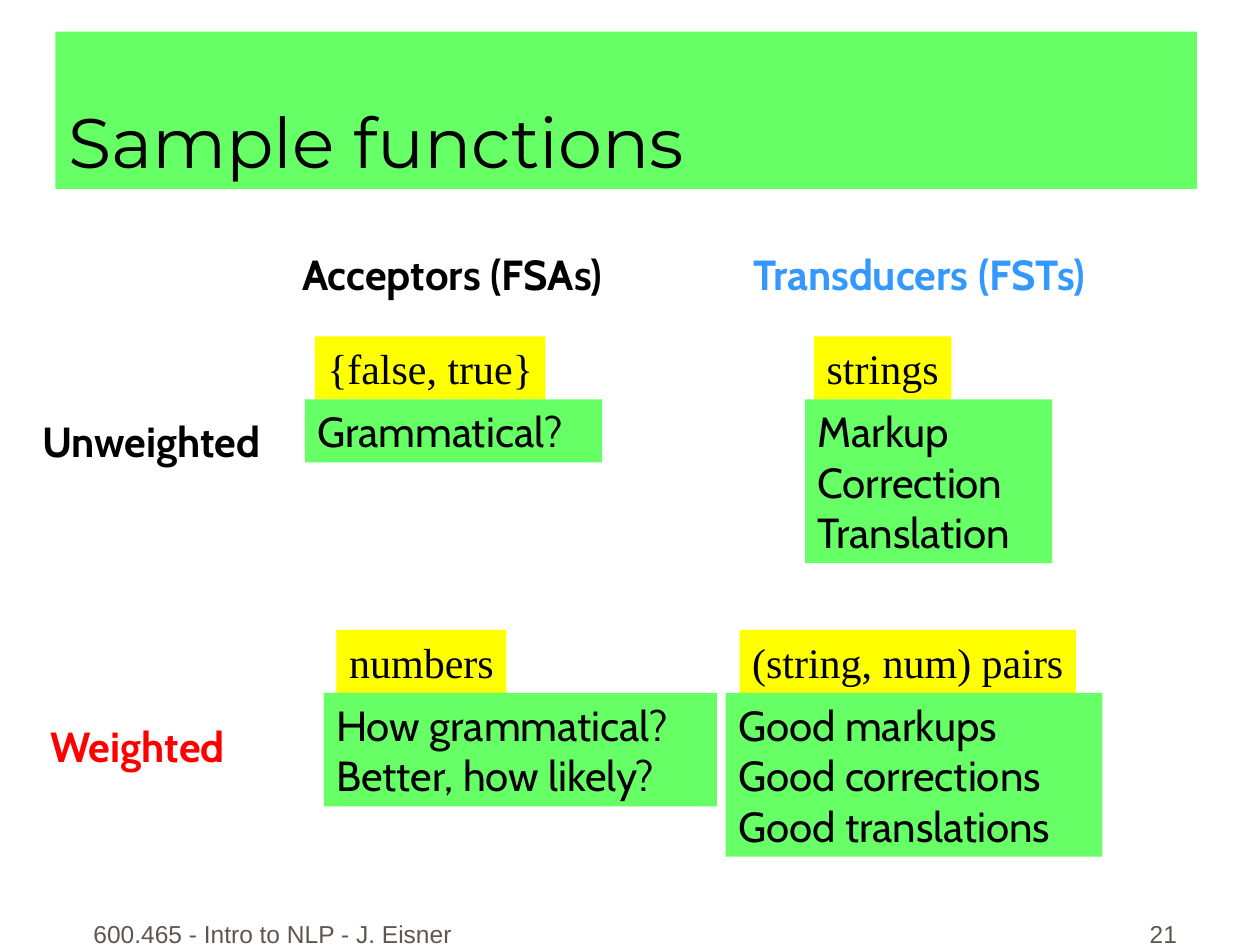
from pptx import Presentation
from pptx.dml.color import RGBColor
from pptx.enum import shapes, text
from pptx.util import Inches, Pt

BLACK = RGBColor(0x00, 0x00, 0x00)
BLUE = RGBColor(0x33, 0x99, 0xFF)
RED = RGBColor(0xFF, 0x00, 0x00)
GREEN = RGBColor(0x66, 0xFF, 0x66)
YELLOW = RGBColor(0xFF, 0xFF, 0x00)
GREY = RGBColor(0x5E, 0x57, 0x4E)

LEFT, CENTER, RIGHT = text.PP_ALIGN.LEFT, text.PP_ALIGN.CENTER, text.PP_ALIGN.RIGHT
MIDDLE, BOTTOM = text.MSO_ANCHOR.MIDDLE, text.MSO_ANCHOR.BOTTOM
LINE_HEIGHT = 0.4
LABEL_HEIGHT = 0.5


def write_lines(shape, lines, font_name, size, color=BLACK, bold=False,
                alignment=LEFT, anchor=MIDDLE):
    """Fill a shape with one paragraph per line."""
    frame = shape.text_frame
    frame.text = "\n".join(lines)
    frame.auto_size = text.MSO_AUTO_SIZE.NONE
    frame.word_wrap = alignment != CENTER
    frame.vertical_anchor = anchor
    for paragraph in frame.paragraphs:
        paragraph.alignment = alignment
        paragraph.font.name = font_name
        paragraph.font.size = Pt(size)
        paragraph.font.bold = bold
        paragraph.font.color.rgb = color


def add_title(slide, box, title):
    """Place the title on its green band."""
    shape = slide.shapes.title
    shape.left, shape.top, shape.width, shape.height = map(Inches, box)
    shape.fill.solid()
    shape.fill.fore_color.rgb = GREEN
    write_lines(shape, [title], "Montserrat", 40, anchor=BOTTOM)


def add_label(slide, box, label, **style):
    """Add an unfilled line of text."""
    write_lines(slide.shapes.add_textbox(*map(Inches, box)), [label], **style)


def add_panel(slide, box, fill, lines, font_name, alignment=LEFT):
    """Add a filled rectangle holding lines of text."""
    panel = slide.shapes.add_shape(shapes.MSO_SHAPE.RECTANGLE, *map(Inches, box))
    panel.shadow.inherit = False
    panel.fill.solid()
    panel.fill.fore_color.rgb = fill
    panel.line.fill.background()
    write_lines(panel, lines, font_name, 24, alignment=alignment)


def add_quadrant(slide, box, range_offset, range_width, range_name, examples):
    """Add a yellow output range standing on its green list of examples."""
    left, top, width = box
    add_panel(slide, (left + range_offset, top, range_width, LABEL_HEIGHT),
              YELLOW, [range_name], "Times New Roman", CENTER)
    add_panel(slide, (left, top + LABEL_HEIGHT, width, 0.1 + LINE_HEIGHT * len(examples)),
              GREEN, examples, "Cabin")


def main():
    """Build the slide and save it."""
    presentation = Presentation()
    presentation.slide_width, presentation.slide_height = Inches(10), Inches(7.5)
    slide = presentation.slides.add_slide(presentation.slide_layouts[5])
    add_title(slide, (0.44, 0.25, 9.06, 1.25), "Sample functions")

    headings = [
        ("Acceptors (FSAs)", 2.13, 1.92, 2.92, BLACK, CENTER),
        ("Transducers (FSTs)", 5.88, 1.92, 3.28, BLUE, LEFT),
        ("Unweighted", 0.08, 3.25, 2.24, BLACK, CENTER),
        ("Weighted", 0.19, 5.67, 1.8, RED, CENTER),
    ]
    for label, left, top, width, color, alignment in headings:
        add_label(slide, (left, top, width, LABEL_HEIGHT), label, font_name="Cabin",
                  size=24, color=color, bold=True, alignment=alignment)

    unweighted_top, weighted_top = 2.67, 5
    quadrants = [
        ((2.42, unweighted_top, 2.36), 0.08, 1.83, "{false, true}", ["Grammatical?"]),
        ((6.39, unweighted_top, 1.96), 0.07, 1.09, "strings",
         ["Markup", "Correction", "Translation"]),
        ((2.57, weighted_top, 3.12), 0.1, 1.35, "numbers",
         ["How grammatical?", "Better, how likely?"]),
        ((5.76, weighted_top, 2.99), 0.11, 2.67, "(string, num) pairs",
         ["Good markups", "Good corrections", "Good translations"]),
    ]
    for quadrant in quadrants:
        add_quadrant(slide, *quadrant)

    footers = [
        ("600.465 - Intro to NLP - J. Eisner", 0.58, 3.17, CENTER),
        ("21", 7.36, 2.08, RIGHT),
    ]
    for label, left, width, alignment in footers:
        add_label(slide, (left, 7.08, width, LABEL_HEIGHT), label, font_name="Arial",
                  size=14, color=GREY, alignment=alignment, anchor=BOTTOM)

    presentation.save("out.pptx")


if __name__ == "__main__":
    main()
